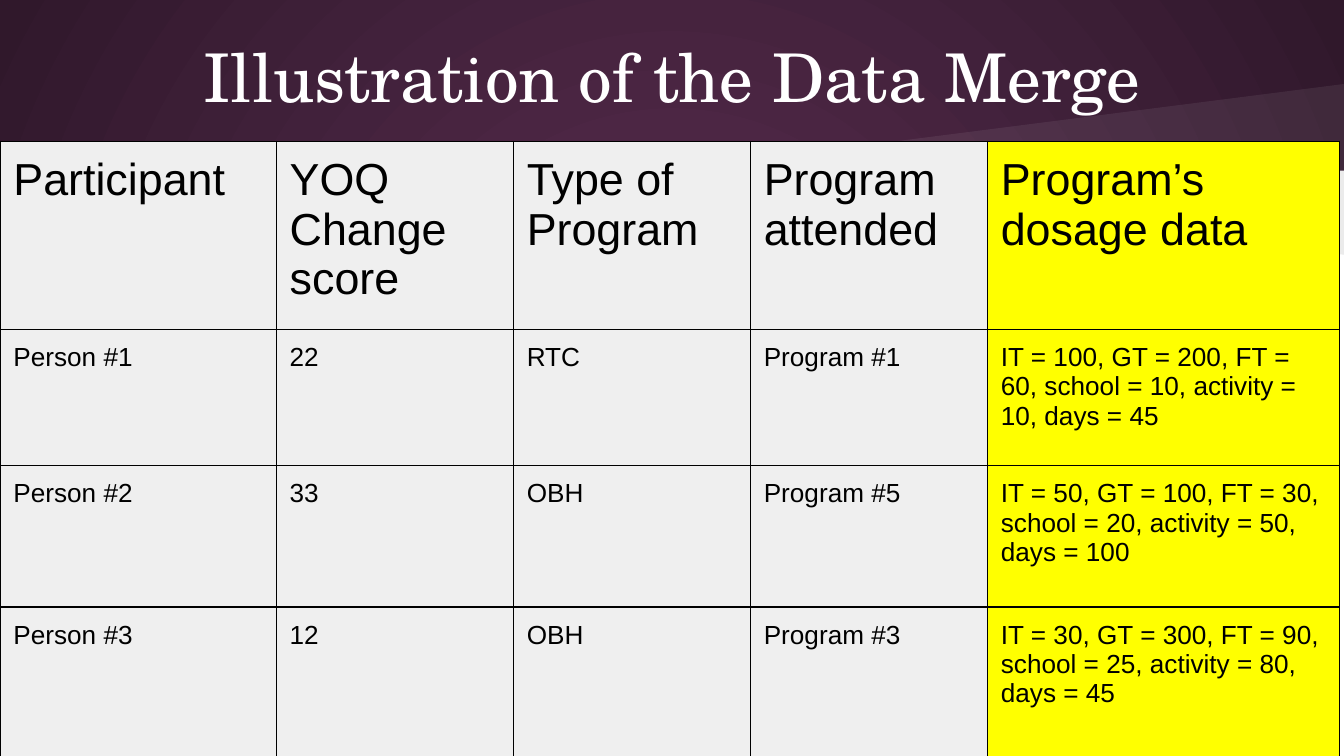
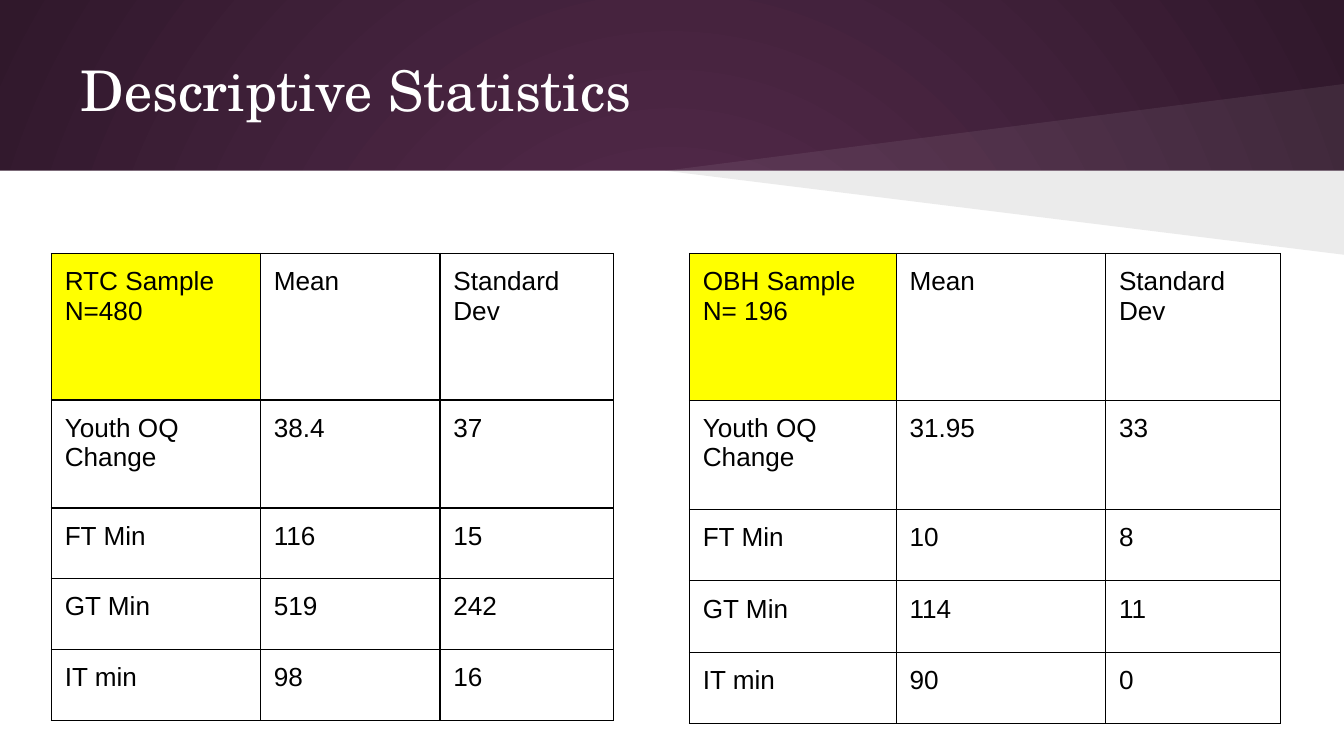
from lxml import etree
from pptx import Presentation
from pptx.dml.color import RGBColor
from pptx.enum.shapes import MSO_SHAPE
from pptx.enum.text import MSO_ANCHOR, MSO_AUTO_SIZE, PP_ALIGN
from pptx.oxml import parse_xml
from pptx.oxml.ns import qn
from pptx.util import Pt

RECTANGLE = MSO_SHAPE.RECTANGLE
MIDDLE = MSO_ANCHOR.MIDDLE
GROW_TO_TEXT = MSO_AUTO_SIZE.SHAPE_TO_FIT_TEXT
LEFT, CENTER = PP_ALIGN.LEFT, PP_ALIGN.CENTER

COLORS = {
    "plum": "592D50",
    "dark_plum": "30182B",
    "white": "FFFFFF",
    "black": "000000",
    "gray": "EFEFEF",
    "yellow": "FFFF00",
}
TITLE_FONT = "TeX Gyre Schola"
TABLE_FONT = "Arial"
WIDTH, HEIGHT = 720, 405
BAND_BOTTOM = 91.5
WEDGE_LEFT = 356.5
INSET = 7.2
BORDER_WIDTH = 0.75
TITLE_ONLY = 5

MERGE_ROWS = [
    ["Participant", "YOQ Change score", "Type of Program", "Program attended",
     "Program’s dosage data"],
    ["Person #1", "22", "RTC", "Program #1",
     "IT = 100, GT = 200, FT = 60, school = 10, activity = 10, days = 45"],
    ["Person #2", "33", "OBH", "Program #5",
     "IT = 50, GT = 100, FT = 30, school = 20, activity = 50, days = 100"],
    ["Person #3", "12", "OBH", "Program #3",
     "IT = 30, GT = 300, FT = 90, school = 25, activity = 80, days = 45"],
]
MEASURES = ["Youth OQ Change", "FT Min", "GT Min", "IT min"]
SAMPLES = [
    {
        "heading": "RTC Sample\nN=480",
        "means": ["38.4", "116", "519", "98"],
        "deviations": ["37", "15", "242", "16"],
        "left": 27.5,
        "columns": [112, 96.2, 93],
        "rows": [78.5, 57.8, 38, 38, 38],
    },
    {
        "heading": "OBH Sample\nN= 196",
        "means": ["31.95", "10", "114", "90"],
        "deviations": ["33", "8", "11", "0"],
        "left": 369.3,
        "columns": [110.8, 112.2, 93.8],
        "rows": [78.7, 58.4, 38.3, 38.3, 38.3],
    },
]


def color(name):
    return RGBColor.from_string(COLORS[name])


def paint(shape, name, opacity=100):
    shape.shadow.inherit = False
    shape.line.fill.background()
    shape.fill.solid()
    shape.fill.fore_color.rgb = color(name)
    if opacity < 100:
        fill_color = next(shape._element.spPr.iter(qn("a:srgbClr")))
        etree.SubElement(fill_color, qn("a:alpha")).set("val", str(opacity * 1000))


def set_background(master):
    fill = master.background.fill
    fill.gradient()
    for stop, position, name in zip(fill.gradient_stops, (0, 1), ("plum", "dark_plum")):
        stop.position = position
        stop.color.rgb = color(name)
    gradient = next(master._element.iter(qn("a:gradFill")))
    gradient.remove(gradient.find(qn("a:lin")))
    circle = etree.SubElement(gradient, qn("a:path"), {"path": "circle"})
    sides = {side: "50000" for side in "ltrb"}
    etree.SubElement(circle, qn("a:fillToRect"), sides)


def add_wedge(slide, corner, name, opacity):
    builder = slide.shapes.build_freeform(Pt(WEDGE_LEFT), Pt(BAND_BOTTOM))
    builder.add_line_segments([(Pt(WIDTH), Pt(corner)), (Pt(WIDTH), Pt(BAND_BOTTOM))])
    wedge = builder.convert_to_shape()
    paint(wedge, name, opacity)
    return wedge


def decorate_master(master, slide):
    set_background(master)
    page = slide.shapes.add_shape(
        RECTANGLE, 0, Pt(BAND_BOTTOM), Pt(WIDTH), Pt(HEIGHT - BAND_BOTTOM))
    paint(page, "white")
    light_wedge = add_wedge(slide, 45, "white", 7)
    dark_wedge = add_wedge(slide, 136.5, "black", 8)
    for index, shape in enumerate((page, light_wedge, dark_wedge), 2):
        master.shapes._spTree.insert(index, shape._element)


def set_title(slide, text, top, height, size, alignment):
    title = slide.shapes.title
    title.left, title.top, title.width, title.height = Pt(36), Pt(top), Pt(648), Pt(height)
    frame = title.text_frame
    frame.text = text
    frame.word_wrap = True
    frame.auto_size = GROW_TO_TEXT
    frame.vertical_anchor = MIDDLE
    frame.margin_left = frame.margin_right = Pt(INSET)
    frame.margin_top = frame.margin_bottom = Pt(INSET)
    paragraph = frame.paragraphs[0]
    paragraph.alignment = alignment
    font = paragraph.runs[0].font
    font.name = TITLE_FONT
    font.size = Pt(size)
    font.color.rgb = color("white")


def add_borders(cell):
    properties = cell._tc.get_or_add_tcPr()
    for side in ("lnL", "lnR", "lnT", "lnB"):
        properties.append(parse_xml(
            f'<a:{side} xmlns:a="http://schemas.openxmlformats.org/drawingml/2006/main" '
            f'w="{Pt(BORDER_WIDTH)}"><a:solidFill><a:srgbClr val="{COLORS["black"]}"/>'
            f'</a:solidFill></a:{side}>'))


def format_cell(cell, text, size, fill_name):
    cell.text_frame.text = text
    cell.margin_left = cell.margin_right = Pt(INSET)
    cell.margin_top = cell.margin_bottom = Pt(INSET)
    for paragraph in cell.text_frame.paragraphs:
        for run in paragraph.runs:
            run.font.name = TABLE_FONT
            run.font.size = Pt(size)
            run.font.color.rgb = color("black")
    add_borders(cell)
    if fill_name:
        cell.fill.solid()
        cell.fill.fore_color.rgb = color(fill_name)
    else:
        cell.fill.background()


def add_grid(slide, left, top, columns, rows, texts, size_of, fill_of):
    frame = slide.shapes.add_table(
        len(rows), len(columns), Pt(left), Pt(top), Pt(sum(columns)), Pt(sum(rows)))
    table = frame.table
    table.first_row = table.horz_banding = False
    for column, width in zip(table.columns, columns):
        column.width = Pt(width)
    for row, height in zip(table.rows, rows):
        row.height = Pt(height)
    for row_index, row_texts in enumerate(texts):
        for column_index, text in enumerate(row_texts):
            format_cell(table.cell(row_index, column_index), text,
                        size_of(row_index), fill_of(row_index, column_index))


def build_merge_slide(slide):
    set_title(slide, "Illustration of the Data Merge", 12.5, 55.5, 36, CENTER)
    columns = [148, 127, 127, 127, 188.6]
    add_grid(slide, 0, 75.6, columns, [100.8, 73, 75.8, 81.6], MERGE_ROWS,
             lambda row: 24 if row == 0 else 14,
             lambda row, column: "yellow" if column == len(columns) - 1 else "gray")


def add_sample_table(slide, sample):
    header = [sample["heading"], "Mean", "Standard Dev"]
    body = zip(MEASURES, sample["means"], sample["deviations"])
    add_grid(slide, sample["left"], 135.8, sample["columns"], sample["rows"],
             [header, *body],
             lambda row: 14,
             lambda row, column: "yellow" if row == column == 0 else None)


def build_statistics_slide(slide):
    set_title(slide, "Descriptive Statistics", 13.7, 67.7, 30, LEFT)
    for sample in SAMPLES:
        add_sample_table(slide, sample)


def main():
    presentation = Presentation()
    presentation.slide_width = Pt(WIDTH)
    presentation.slide_height = Pt(HEIGHT)
    layout = presentation.slide_layouts[TITLE_ONLY]
    merge_slide, statistics_slide = [presentation.slides.add_slide(layout) for _ in range(2)]
    decorate_master(presentation.slide_master, merge_slide)
    build_merge_slide(merge_slide)
    build_statistics_slide(statistics_slide)
    presentation.save("out.pptx")


if __name__ == "__main__":
    main()
